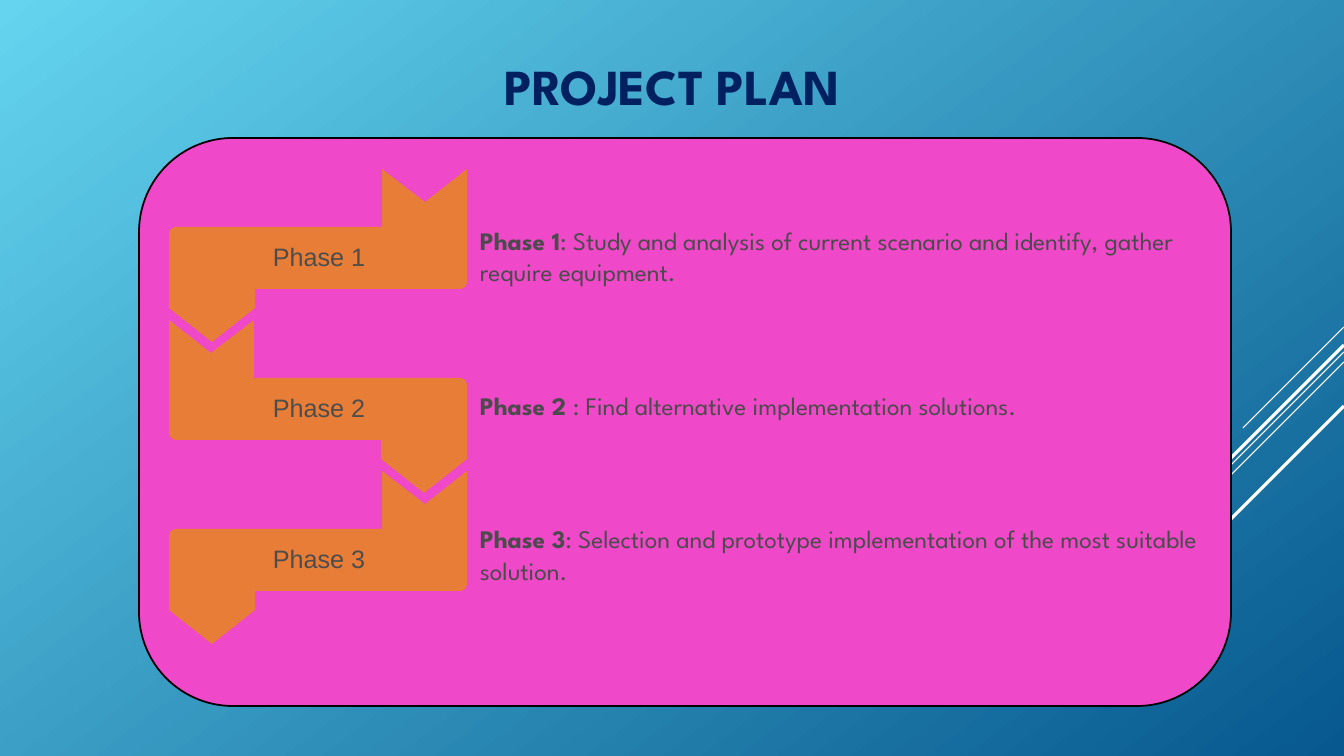
from lxml import etree
from pptx import Presentation, util as u
from pptx.dml.color import RGBColor
from pptx.enum import shapes, text
from pptx.oxml.ns import qn

TITLE = "PROJECT PLAN"
PHASES = [
    ("Phase 1", "", ": Study and analysis of current scenario and identify, gather require equipment."),
    ("Phase 2", " ", ": Find alternative implementation solutions."),
    ("Phase 3", "", ": Selection and prototype implementation of the most suitable solution."),
]
# start y at the right edge, 45-degree run, width in points
STRIPES = [(327, 101, 0.75), (352, 329, 0.75), (362, 209, 0.75), (345, 193, 2.25), (406, 140, 2.25)]
SKY, DEEP, NAVY, PINK, ORANGE, BLACK, WHITE = (
    "64D4EF", "06588E", "002060", "EF48C9", "E87D37", "000000", "FFFFFF")
BODY, LABEL = "4B4B4B", "4D4D4D"
HEAD_FONT, LABEL_FONT = "League Spartan", "Arial"

SLIDE_W, SLIDE_H = 1344, 756
PANEL, RADIUS = (139, 138, 1092, 568), 94
RIBBON_X, RIBBON_Y, RIBBON_W, STEP = 169, 169, 298, 151
RIBBON = [(298, 0), (256, 33), (213, 0), (213, 58), (6, 58), (2, 60), (0, 64),
          (0, 139), (43, 173), (86, 139), (86, 120), (292, 120), (296, 118), (298, 114)]
LABEL_DX, LABEL_DY, LABEL_W, LABEL_H = 36, 72, 228, 30
PX = 914400 / 100.8


def px(*values):
    return [u.Emu(round(v * PX)) for v in values]


def color(hex_):
    return RGBColor.from_string(hex_)


def paint(sp, fill, line=None, width=1.25):
    sp.shadow.inherit = False
    sp.fill.solid()
    sp.fill.fore_color.rgb = color(fill)
    if line:
        sp.line.color.rgb = color(line)
        sp.line.width = u.Pt(width)
    else:
        sp.line.fill.background()


def add_run(p, words, size=18, font=HEAD_FONT, fill=BODY, bold=False):
    r = p.add_run()
    r.text = words
    r.font.size, r.font.name, r.font.bold = u.Pt(size), font, bold
    r.font.color.rgb = color(fill)


def add_stripe(s, y, run, width):
    ln = s.shapes.add_connector(shapes.MSO_CONNECTOR.STRAIGHT, *px(SLIDE_W, y, SLIDE_W - run, y + run))
    ln.line.color.rgb = color(WHITE)
    ln.line.width = u.Pt(width)
    etree.SubElement(ln._element.spPr, qn("a:effectLst"))


def add_ribbon(s, top, mirrored):
    points = [(RIBBON_X + (RIBBON_W - x if mirrored else x), top + y) for x, y in RIBBON]
    fb = s.shapes.build_freeform(*points[0], scale=PX)
    fb.add_line_segments(points[1:], close=True)
    paint(fb.convert_to_shape(), ORANGE)


def add_label(s, top, words):
    sp = s.shapes.add_shape(shapes.MSO_SHAPE.RECTANGLE,
                            *px(RIBBON_X + LABEL_DX, top + LABEL_DY, LABEL_W, LABEL_H))
    paint(sp, ORANGE)
    tf = sp.text_frame
    tf.margin_left = tf.margin_right = tf.margin_top = tf.margin_bottom = 0
    tf.vertical_anchor = text.MSO_ANCHOR.MIDDLE
    p = tf.paragraphs[0]
    p.alignment = text.PP_ALIGN.CENTER
    add_run(p, words, font=LABEL_FONT, fill=LABEL)


def add_title(s):
    sp = s.shapes.title
    sp.left, sp.top, sp.width, sp.height = px(93, 40, 1159, 90)
    tf = sp.text_frame
    tf.vertical_anchor = text.MSO_ANCHOR.MIDDLE
    p = tf.paragraphs[0]
    p.alignment = text.PP_ALIGN.CENTER
    add_run(p, TITLE, size=36, fill=NAVY, bold=True)


def add_descriptions(s):
    tf = s.shapes.add_textbox(*px(470, 219, 751, 464)).text_frame
    tf.word_wrap = True
    for i, (name, gap, words) in enumerate(PHASES):
        p = tf.paragraphs[0] if i == 0 else tf.add_paragraph()
        p.line_spacing = 1.04
        p.space_before = u.Pt(73 if i else 0)
        add_run(p, name + gap, bold=True)
        add_run(p, words)


def main():
    prs = Presentation()
    prs.slide_width, prs.slide_height = px(SLIDE_W, SLIDE_H)
    s = prs.slides.add_slide(prs.slide_layouts[5])

    bg = s.background.fill
    bg.gradient()
    bg.gradient_angle = 307
    for stop, hex_, position in zip(bg.gradient_stops, (SKY, DEEP), (0, 1)):
        stop.color.rgb = color(hex_)
        stop.position = position

    for stripe in STRIPES:
        add_stripe(s, *stripe)
    add_title(s)
    panel = s.shapes.add_shape(shapes.MSO_SHAPE.ROUNDED_RECTANGLE, *px(*PANEL))
    panel.adjustments[0] = RADIUS / PANEL[3]
    paint(panel, PINK, BLACK)
    add_descriptions(s)
    for i, (name, _, _) in enumerate(PHASES):
        top = RIBBON_Y + i * STEP
        add_ribbon(s, top, mirrored=i % 2 == 1)
        add_label(s, top, name)
    prs.save("out.pptx")


if __name__ == "__main__":
    main()
